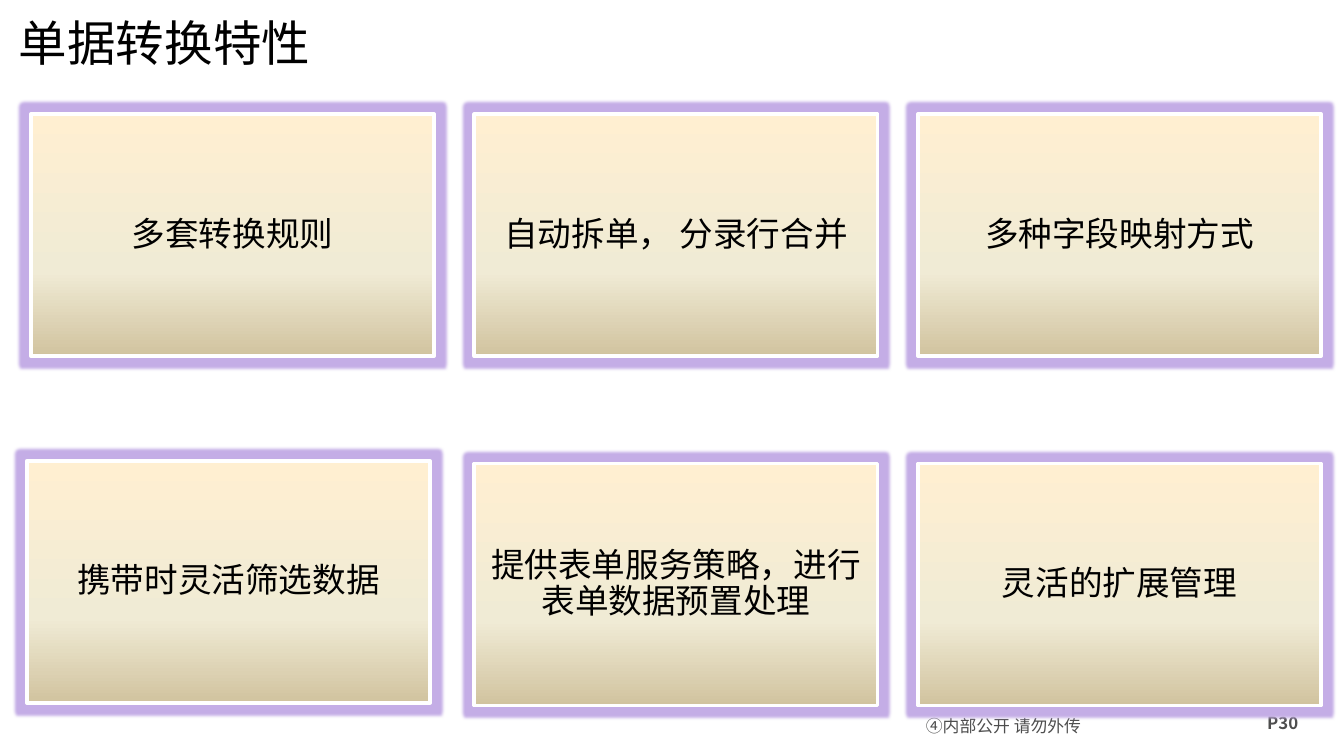
from copy import deepcopy

from lxml import etree
from pptx import Presentation
from pptx.dml.color import RGBColor
from pptx.enum.shapes import MSO_SHAPE
from pptx.enum.text import MSO_ANCHOR, MSO_AUTO_SIZE, PP_ALIGN
from pptx.oxml.ns import qn
from pptx.util import Inches, Pt

RECT = MSO_SHAPE.RECTANGLE
MIDDLE = MSO_ANCHOR.MIDDLE
NO_AUTOFIT = MSO_AUTO_SIZE.NONE
LEFT, CENTER, JUSTIFY = PP_ALIGN.LEFT, PP_ALIGN.CENTER, PP_ALIGN.JUSTIFY

THEME = {
    "font": "Noto Sans CJK SC",
    "text": "000000",
    "footer": "4D4D4D",
    "border": "FFFFFF",
    "glow": "C4ADE6",
    "gradient": [(0, "FFEFD1"), (0.65, "F0EBD5"), (1, "D1C39F")],
    "title_size": 26,
    "card_size": 18,
    "footer_size": 9,
}


def write(tf, text, size, color, bold=False, **paragraph_format):
    """Write one formatted run into the first paragraph of a text frame."""
    tf.word_wrap = True
    p = tf.paragraphs[0]
    for name, value in paragraph_format.items():
        setattr(p, name, value)
    r = p.add_run()
    r.text = text
    for name, value in {"name": THEME["font"], "size": Pt(size), "bold": bold}.items():
        setattr(r.font, name, value)
    r.font.color.rgb = RGBColor.from_string(color)
    # East Asian characters take their font from a:ea
    etree.SubElement(r.font._element, qn("a:ea"), typeface=THEME["font"])


def style_card(sp):
    """Vertical three-stop gradient, white border and soft violet glow."""
    sp.fill.gradient()
    sp.fill.gradient_angle = 270
    stops = sp._element.spPr.find(qn("a:gradFill")).find(qn("a:gsLst"))
    stops.append(deepcopy(stops[-1]))
    for stop, (position, color) in zip(sp.fill.gradient_stops, THEME["gradient"]):
        stop.position = position
        stop.color.rgb = RGBColor.from_string(color)
    sp.line.color.rgb = RGBColor.from_string(THEME["border"])
    sp.line.width = Pt(2)
    sp.shadow.inherit = False
    effects = sp._element.spPr.find(qn("a:effectLst"))
    glow = etree.SubElement(effects, qn("a:glow"), rad=str(Inches(0.05)))
    etree.SubElement(glow, qn("a:srgbClr"), val=THEME["glow"])


# 16:9 slide
prs = Presentation()
prs.slide_width = Inches(10)
prs.slide_height = Inches(10 * 9 / 16)
s = prs.slides.add_slide(prs.slide_layouts[5])

# Title
title = s.shapes.title
title.left, title.top, title.width, title.height = map(Inches, (0.04, 0, 7.89, 0.63))
tf = title.text_frame
tf.auto_size = NO_AUTOFIT
tf.vertical_anchor = MIDDLE
write(tf, "单据转换特性", THEME["title_size"], THEME["text"], alignment=LEFT)

# Footer: classification and page number
footers = [
    ("④内部公开 请勿外传", (6.81, 5.27, 1.77, 0.27), (0.08, 0.01), False,
     {"alignment": JUSTIFY, "line_spacing": Pt(14)}),
    ("P30", (9.33, 5.25, 0.56, 0.25), (0.1, 0.05), True, {}),
]
for text, box, (side, edge), bold, paragraph_format in footers:
    tf = s.shapes.add_textbox(*map(Inches, box)).text_frame
    tf.margin_left = tf.margin_right = Inches(side)
    tf.margin_top = tf.margin_bottom = Inches(edge)
    write(tf, text, THEME["footer_size"], THEME["footer"], bold, **paragraph_format)

# Feature cards: 3 x 2 grid, the first card of the second row slightly offset
features = [
    "多套转换规则", "自动拆单， 分录行合并", "多种字段映射方式",
    "携带时灵活筛选数据", "提供表单服务策略，进行表单数据预置处理", "灵活的扩展管理",
]
CARD_W, CARD_H = 3, 1.8
GRID_LEFT, GRID_TOP, PITCH_X, PITCH_Y = 0.23, 0.85, 3.3, 2.6
OFFSETS = {3: (-0.03, -0.02)}
for i, text in enumerate(features):
    row, col = divmod(i, 3)
    dx, dy = OFFSETS.get(i, (0, 0))
    sp = s.shapes.add_shape(RECT, Inches(GRID_LEFT + col * PITCH_X + dx),
                            Inches(GRID_TOP + row * PITCH_Y + dy),
                            Inches(CARD_W), Inches(CARD_H))
    style_card(sp)
    tf = sp.text_frame
    tf.vertical_anchor = MIDDLE
    for side in ("left", "top", "right", "bottom"):
        setattr(tf, f"margin_{side}", Inches(0.08))
    write(tf, text, THEME["card_size"], THEME["text"],
          alignment=CENTER, line_spacing=0.9, space_after=Pt(6.3))

prs.save("out.pptx")
